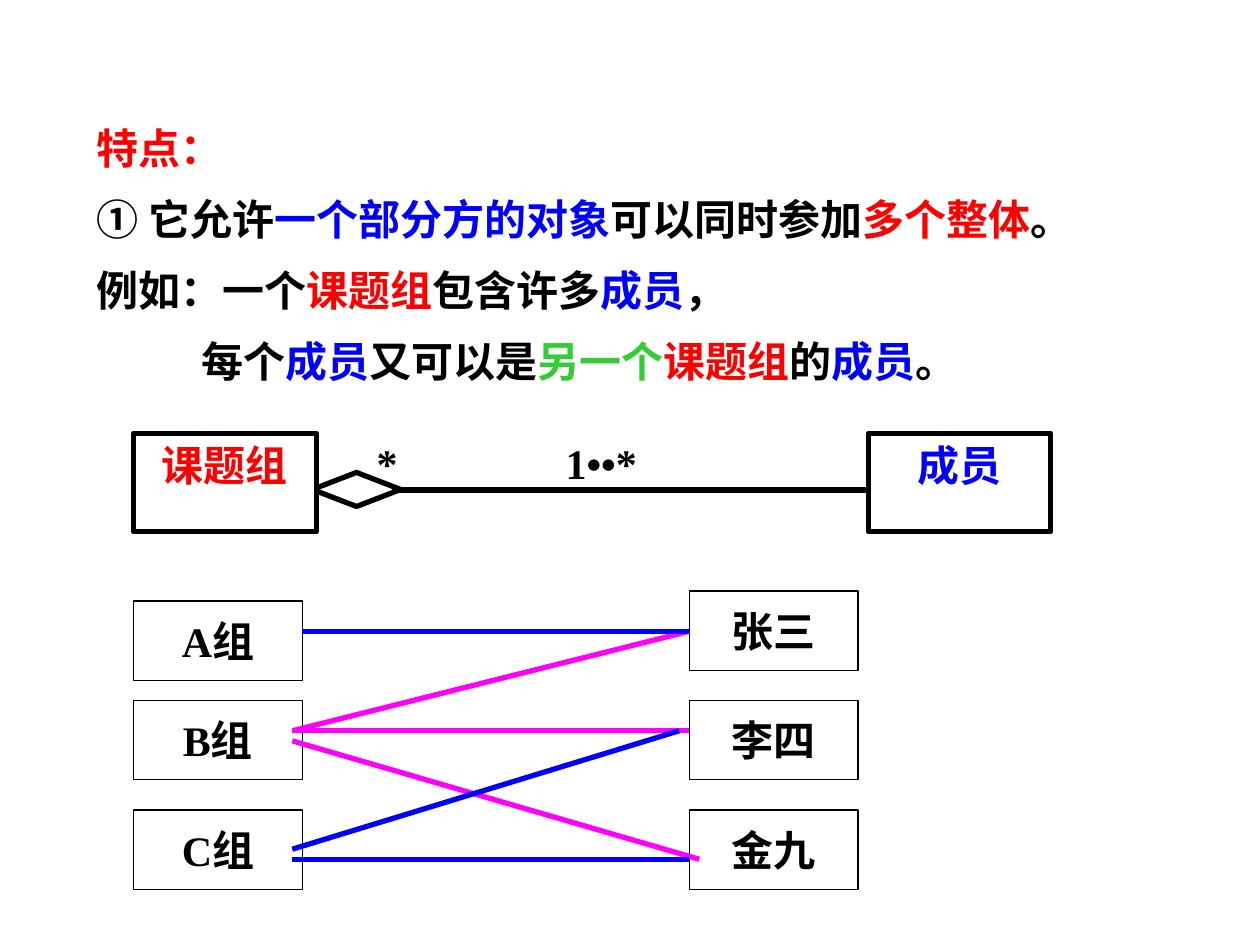
import dataclasses

import lxml.etree
import pptx
import pptx.dml.color
import pptx.enum.shapes
import pptx.enum.text
import pptx.oxml.ns
import pptx.util

Inches = pptx.util.Inches
Pt = pptx.util.Pt
Shapes = pptx.enum.shapes.MSO_SHAPE
Align = pptx.enum.text.PP_ALIGN
Anchor = pptx.enum.text.MSO_ANCHOR


@dataclasses.dataclass
class Theme:
    font: str = "Times New Roman"
    size: int = 24
    heavy: float = 3
    thin: float = 0.75
    black: str = "000000"
    white: str = "FFFFFF"
    red: str = "FF0000"
    blue: str = "0000FF"
    green: str = "33CC33"
    magenta: str = "FF00FF"


class Painter:
    def __init__(self, page, theme):
        self.page = page
        self.theme = theme

    def color(self, value):
        return pptx.dml.color.RGBColor.from_string(value)

    def style_font(self, font, color=None):
        font.name = self.theme.font
        font.size = Pt(self.theme.size)
        font.bold = True
        if color:
            font.color.rgb = self.color(color)

    def text_box(self, left, top, width, height):
        box = self.page.shapes.add_textbox(
            Inches(left), Inches(top), Inches(width), Inches(height))
        box.text_frame.word_wrap = True
        return box.text_frame

    def passage(self, left, top, width, height, lines):
        """Write lines given as (left margin, first-line indent, spans)."""
        frame = self.text_box(left, top, width, height)
        for index, (margin, indent, spans) in enumerate(lines):
            para = frame.paragraphs[0] if index == 0 else frame.add_paragraph()
            properties = para._p.get_or_add_pPr()
            properties.set("marL", str(Inches(margin)))
            properties.set("indent", str(Inches(indent)))
            para.line_spacing = 1.2
            para.space_before = Pt(6 if index else 0)
            self.style_font(para.font)
            for words, color in spans:
                span = para.add_run()
                span.text = words
                self.style_font(span.font, color)

    def label(self, left, top, width, height, words):
        frame = self.text_box(left, top, width, height)
        frame.vertical_anchor = Anchor.MIDDLE
        para = frame.paragraphs[0]
        para.text = words
        self.style_font(para.font, self.theme.black)

    def shape(self, kind, left, top, width, height, weight, fill=None):
        shape = self.page.shapes.add_shape(
            kind, Inches(left), Inches(top), Inches(width), Inches(height))
        shape.shadow.inherit = False
        if fill:
            shape.fill.solid()
            shape.fill.fore_color.rgb = self.color(fill)
        else:
            shape.fill.background()
        shape.line.color.rgb = self.color(self.theme.black)
        shape.line.width = Pt(weight)
        return shape

    def named_box(self, left, top, width, height, words, color, weight,
                  anchor, fill=None):
        box = self.shape(Shapes.RECTANGLE, left, top, width, height, weight, fill)
        frame = box.text_frame
        frame.word_wrap = True
        frame.vertical_anchor = anchor
        para = frame.paragraphs[0]
        para.text = words
        para.alignment = Align.CENTER
        self.style_font(para.font, color)

    def line(self, start, end, color):
        line = self.page.shapes.add_connector(
            pptx.enum.shapes.MSO_CONNECTOR.STRAIGHT,
            *(Inches(value) for value in (*start, *end)))
        line.line.color.rgb = self.color(color)
        line.line.width = Pt(self.theme.heavy)
        lxml.etree.SubElement(
            line._element.spPr, pptx.oxml.ns.qn("a:effectLst"))


def main():
    deck = pptx.Presentation()
    deck.slide_width, deck.slide_height = Inches(10), Inches(7.5)
    page = deck.slides.add_slide(deck.slide_layouts[6])
    theme = Theme()
    painter = Painter(page, theme)
    black, red, blue = theme.black, theme.red, theme.blue

    # Explanation
    hanging = (0.58, -0.58)
    painter.passage(0.67, 0.84, 8.67, 2.4, [
        (*hanging, [("特点：", red)]),
        (*hanging, [("① 它允许", black), ("一个部分方的对象", blue),
                    ("可以同时参加", black), ("多个整体", red), ("。", black)]),
        (*hanging, [("例如：一个", black), ("课题组", red),
                    ("包含许多", black), ("成员", blue), ("，", black)]),
        (0.83, 0, [("每个", black), ("成员", blue), ("又可以是", black),
                   ("另一个", theme.green), ("课题组", red), ("的", black),
                   ("成员", blue), ("。", black)]),
    ])

    # Class diagram: shared aggregation
    painter.shape(Shapes.DIAMOND, 2.48, 3.75, 0.7, 0.27, theme.heavy, theme.white)
    painter.line((3.11, 3.89), (6.89, 3.89), black)
    for left, words, color in ((6.89, "成员", blue), (1.06, "课题组", red)):
        painter.named_box(left, 3.44, 1.45, 0.78, words, color, theme.heavy,
                          Anchor.TOP, theme.white)
    for left, words in ((2.89, "*"), (4.39, "1••*")):
        painter.label(left, 3.36, 1, 0.63, words)

    # Object boxes: groups on the left, members on the right
    columns = (
        (1.06, (("A组", 4.77), ("B组", 5.56), ("C组", 6.43))),
        (5.47, (("张三", 4.69), ("李四", 5.56), ("金九", 6.43))),
    )
    for left, entries in columns:
        for words, top in entries:
            painter.named_box(left, top, 1.34, 0.63, words, black, theme.thin,
                              Anchor.MIDDLE)

    # Links between groups and members
    links = {
        theme.magenta: (((2.32, 5.8), (5.47, 5.01)),
                        ((2.32, 5.8), (5.47, 5.8)),
                        ((2.32, 5.88), (5.55, 6.82))),
        blue: (((5.47, 5.01), (2.4, 5.01)),
               ((5.47, 6.82), (2.32, 6.82)),
               ((5.39, 5.8), (2.32, 6.74))),
    }
    for color, pairs in links.items():
        for start, end in pairs:
            painter.line(start, end, color)

    deck.save("out.pptx")


if __name__ == "__main__":
    main()
